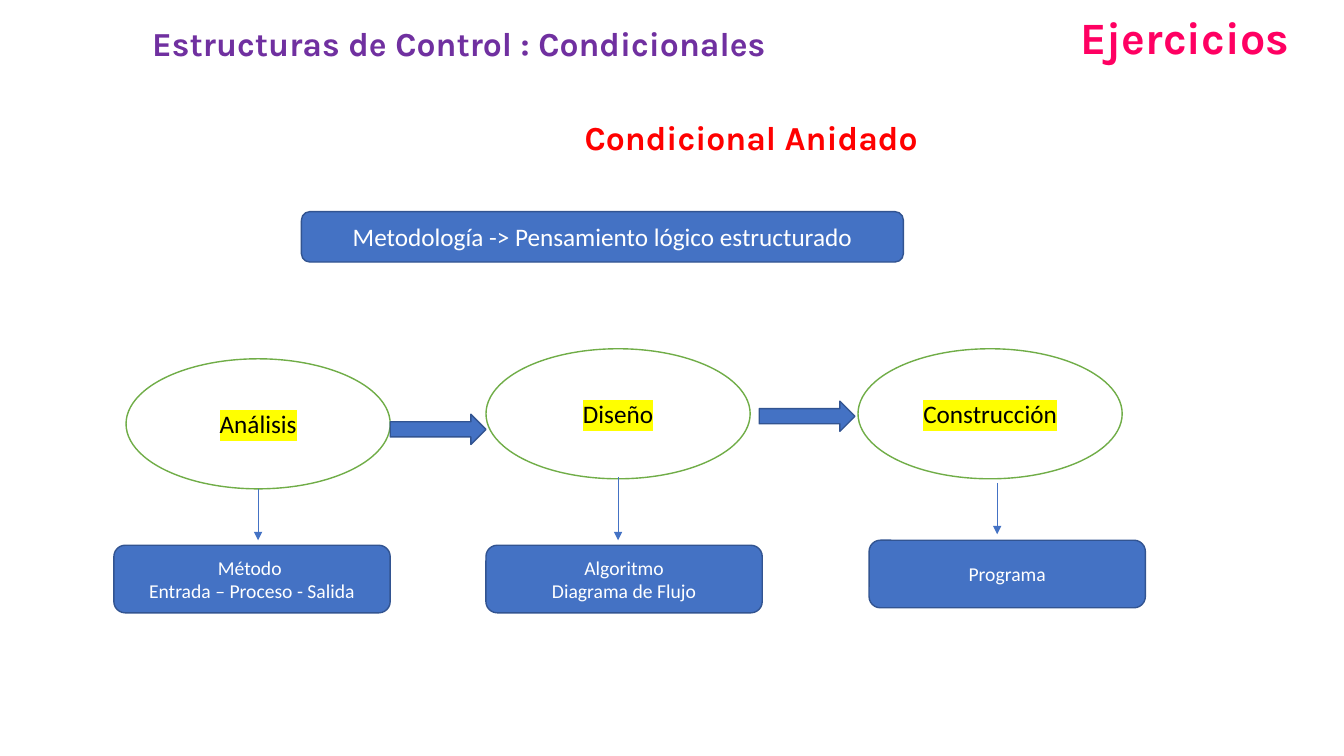
from lxml.etree import SubElement
from pptx import Presentation
from pptx.dml.color import RGBColor
from pptx.enum.shapes import MSO_CONNECTOR, MSO_SHAPE
from pptx.enum.text import MSO_ANCHOR, MSO_AUTO_SIZE, PP_ALIGN
from pptx.oxml import parse_xml
from pptx.oxml.ns import nsdecls, qn
from pptx.util import Inches, Pt

COLORS = {
    "white": "FFFFFF", "black": "000000", "blue": "4472C4", "edge": "325491",
    "green": "70AD47", "yellow": "FFFF00", "pink": "FF0062",
    "purple": "7030A0", "red": "FF0000",
}


def rgb(name):
    return RGBColor.from_string(COLORS[name])


def write(tf, text, size, color, font="Calibri", bold=False, align=PP_ALIGN.CENTER):
    tf.text = text
    for p in tf.paragraphs:
        p.alignment = align
        for r in p.runs:
            r.font.size, r.font.name, r.font.bold = Pt(size), font, bold
            r.font.color.rgb = rgb(color)


def add_block(s, kind, box, fill="blue", line="edge"):
    sp = s.shapes.add_shape(kind, *map(Inches, box))
    sp.shadow.inherit = False
    sp.fill.solid()
    sp.fill.fore_color.rgb = rgb(fill)
    sp.line.color.rgb = rgb(line)
    sp.line.width = Pt(1)
    sp.text_frame.word_wrap = True
    sp.text_frame.vertical_anchor = MSO_ANCHOR.MIDDLE
    return sp


def add_box(s, box, text, size):
    sp = add_block(s, MSO_SHAPE.ROUNDED_RECTANGLE, box)
    write(sp.text_frame, text, size, "white")


def add_heading(sp, box, text, size, color, align=PP_ALIGN.LEFT):
    sp.left, sp.top, sp.width, sp.height = map(Inches, box)
    tf = sp.text_frame
    tf.word_wrap = True
    tf.auto_size = MSO_AUTO_SIZE.SHAPE_TO_FIT_TEXT
    tf.vertical_anchor = MSO_ANCHOR.TOP
    write(tf, text, size, color, "Karla", True, align)


def add_down_arrow(s, x, top, bottom):
    c = s.shapes.add_connector(MSO_CONNECTOR.STRAIGHT, Inches(x), Inches(top),
                               Inches(x), Inches(bottom))
    c.line.color.rgb = rgb("blue")
    c.line.width = Pt(0.5)
    SubElement(c.line._get_or_add_ln(), qn("a:tailEnd"), type="triangle")
    SubElement(c._element.spPr, qn("a:effectLst"))


def add_stage(s, left, top, name, result, result_at, arrow):
    """Highlighted oval, arrow downwards and result box."""
    sp = add_block(s, MSO_SHAPE.OVAL, (left, top, 2.62, 1.29), "white", "green")
    write(sp.text_frame, name, 18, "black")
    rPr = sp.text_frame.paragraphs[0].runs[0].font._element
    rPr.find(qn("a:solidFill")).addnext(parse_xml(
        f'<a:highlight {nsdecls("a")}><a:srgbClr val="{COLORS["yellow"]}"/></a:highlight>'))
    add_box(s, (*result_at, 2.74, 0.67), result, 14)
    add_down_arrow(s, *arrow)


def add_headings(s):
    add_heading(s.shapes.title, (1.41, 0.18, 6.8, 0.5),
                "Estructuras de Control : Condicionales", 24, "purple")
    for box, text, size, color, align in (
        ((10.62, 0.05, 3.14, 0.64), "Ejercicios", 32, "pink", PP_ALIGN.LEFT),
        ((5.7, 1.11, 3.68, 0.5), "Condicional Anidado", 24, "red", PP_ALIGN.JUSTIFY),
    ):
        sp = s.shapes.add_textbox(*map(Inches, box))
        add_heading(sp, box, text, size, color, align)


def add_process(s):
    # Method banner
    add_box(s, (2.99, 2.1, 5.97, 0.5),
            "Metodología -> Pensamiento lógico estructurado", 18)

    # Stages: oval left and top, name, result, result corner, arrow x and ends
    for stage in (
        (1.25, 3.56, "Análisis", "Método \nEntrada – Proceso - Salida",
         (1.13, 5.41), (2.56, 4.85, 5.36)),
        (4.82, 3.46, "Diseño", "Algoritmo\nDiagrama de Flujo",
         (4.82, 5.41), (6.13, 4.73, 5.36)),
        (8.51, 3.46, "Construcción", "Programa",
         (8.62, 5.36), (9.89, 4.79, 5.3)),
    ):
        add_stage(s, *stage)

    # Arrows between stages
    for left, top in ((3.87, 4.11), (7.53, 3.98)):
        add_block(s, MSO_SHAPE.RIGHT_ARROW, (left, top, 0.95, 0.3))


def main():
    prs = Presentation()
    prs.slide_width, prs.slide_height = Inches(13.33), Inches(7.5)
    s = prs.slides.add_slide(prs.slide_layouts[5])
    s.background.fill.solid()
    s.background.fill.fore_color.rgb = rgb("white")
    add_headings(s)
    add_process(s)
    prs.save("out.pptx")


if __name__ == "__main__":
    main()
